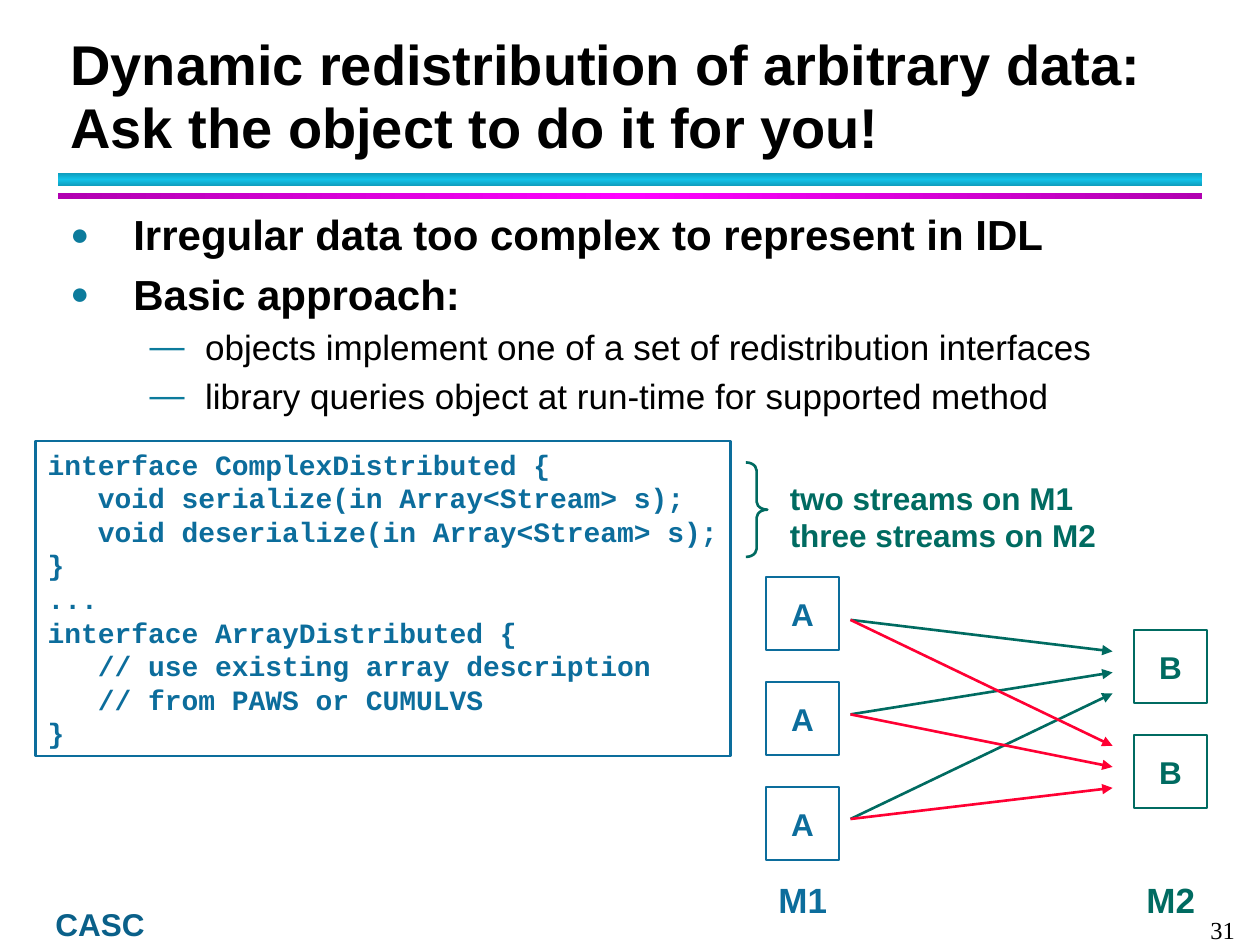
from copy import deepcopy

from lxml import etree
from pptx import Presentation
from pptx.dml.color import RGBColor
from pptx.enum.shapes import MSO_CONNECTOR, MSO_SHAPE
from pptx.enum.text import MSO_ANCHOR, PP_ALIGN
from pptx.oxml.ns import qn
from pptx.util import Inches, Pt

LEFT, CENTER, RIGHT = PP_ALIGN.LEFT, PP_ALIGN.CENTER, PP_ALIGN.RIGHT
TOP, MIDDLE, BOTTOM = MSO_ANCHOR.TOP, MSO_ANCHOR.MIDDLE, MSO_ANCHOR.BOTTOM
RECTANGLE, RIGHT_BRACE = MSO_SHAPE.RECTANGLE, MSO_SHAPE.RIGHT_BRACE
STRAIGHT = MSO_CONNECTOR.STRAIGHT

BLACK, BLUE, GREEN, RED = "000000", "0C6D9C", "006B61", "FF0033"
BULLET_COLOR = "0C7B9C"

prs = Presentation()
prs.slide_width, prs.slide_height = Inches(10), Inches(7.5)
slide = prs.slides.add_slide(prs.slide_layouts[6])
shapes = slide.shapes


def rgb(value):
    return RGBColor.from_string(value)


def add_text(text, left, top, width, height, size=18, color=BLACK, font="Arial",
             bold=True, align=LEFT, anchor=TOP, spacing=None, wrap=True,
             outline=None, margins=(0.1, 0.05)):
    """Add a text box, or an outlined rectangle, with one paragraph per line."""
    place = [Inches(v) for v in (left, top, width, height)]
    if outline:
        box = shapes.add_shape(RECTANGLE, *place)
        box.shadow.inherit = False
        box.fill.background()
        box.line.color.rgb = rgb(outline)
        box.line.width = Pt(1.5)
    else:
        box = shapes.add_textbox(*place)
    frame = box.text_frame
    frame.word_wrap = wrap
    frame.vertical_anchor = anchor
    frame.margin_left = frame.margin_right = Inches(margins[0])
    frame.margin_top = frame.margin_bottom = Inches(margins[1])
    frame.text = text
    for paragraph in frame.paragraphs:
        paragraph.alignment = align
        if spacing:
            paragraph.line_spacing = Pt(spacing)
        for run in paragraph.runs:
            run.font.size = Pt(size)
            run.font.name = font
            run.font.bold = bold
            run.font.color.rgb = rgb(color)
    return box


# Footer label and the two gradient rules under the title
add_text("CASC", 0.44, 7.2, 0.77, 0.28, color="0A6089", anchor=BOTTOM,
         spacing=20, margins=(0, 0))

for top, height, angle, edge, middle in (
    (1.37, 0.11, 90, "0E9AB9", "12C2E9"),
    (1.53, 0.05, 0, "B100B1", "FF00FF"),
):
    rule = shapes.add_shape(RECTANGLE, Inches(0.46), Inches(top),
                            Inches(9.08), Inches(height))
    rule.shadow.inherit = False
    rule.line.fill.background()
    rule.fill.gradient()
    rule.fill.gradient_angle = angle
    stop_list = rule._element.spPr.find(qn("a:gradFill")).find(qn("a:gsLst"))
    stop_list.insert(1, deepcopy(stop_list[0]))
    for stop, position, color in zip(rule.fill.gradient_stops, (0, 0.5, 1),
                                     (edge, middle, edge)):
        stop.position = position
        stop.color.rgb = rgb(color)

# Title
add_text("Dynamic redistribution of arbitrary data:\nAsk the object to do it for you!",
         0.46, 0.33, 9.06, 0.99, size=32, anchor=BOTTOM, spacing=36)

# Bullet list: two main points, then two sub-points
points = add_text(
    "Irregular data too complex to represent in IDL\n"
    "Basic approach:\n"
    "objects implement one of a set of redistribution interfaces\n"
    "library queries object at run-time for supported method",
    0.46, 1.62, 9.29, 5.54, size=24, spacing=28)
for number, point in enumerate(points.text_frame.paragraphs):
    is_sub = number >= 2
    indent, hanging, mark, percent = (
        (1.07, 0.44, "—", 100) if is_sub else (0.5, 0.5, "●", 75))
    properties = point._p.get_or_add_pPr()
    properties.set("marL", str(Inches(indent)))
    properties.set("indent", str(-Inches(hanging)))
    bullet_color = etree.SubElement(properties, qn("a:buClr"))
    etree.SubElement(bullet_color, qn("a:srgbClr"), val=BULLET_COLOR)
    etree.SubElement(properties, qn("a:buSzPct"), val=str(percent * 1000))
    etree.SubElement(properties, qn("a:buFont"), typeface="Arial")
    etree.SubElement(properties, qn("a:buChar"), char=mark)
    if is_sub:
        point.level = 1
        point.runs[0].font.size = Pt(20)
        point.runs[0].font.bold = False
    elif number:
        point.space_before = Pt(6)

# Interface code
code = """interface ComplexDistributed {
   void serialize(in Array<Stream> s);
   void deserialize(in Array<Stream> s);
}
...
interface ArrayDistributed {
   // use existing array description
   // from PAWS or CUMULVS
}"""
add_text(code, 0.28, 3.5, 5.52, 2.5, size=16, color=BLUE, font="Courier New",
         wrap=False, outline=BLUE)

# Brace and its remark
brace = shapes.add_shape(RIGHT_BRACE, Inches(5.92), Inches(3.67),
                         Inches(0.17), Inches(0.75))
brace.shadow.inherit = False
brace.fill.background()
brace.line.color.rgb = rgb(GREEN)
brace.line.width = Pt(1.5)
brace.adjustments[0] = 0.37
add_text("two streams on M1\nthree streams on M2", 6.17, 3.75, 2.63, 0.7,
         color=GREEN, wrap=False)

# Machines: a column of objects with the machine name below
for machine, letter, count, left, first_top, color in (
    ("M1", "A", 3, 6.08, 4.58, BLUE),
    ("M2", "B", 2, 9, 5, GREEN),
):
    for row in range(count):
        add_text(letter, left, first_top + row * 5 / 6, 0.58, 0.58, color=color,
                 align=CENTER, anchor=MIDDLE, outline=color)
    add_text(machine, left, 6.92, 0.65, 0.44, size=20, color=color)

# Streams: every A sends one to each B
for target, color in enumerate((GREEN, RED)):
    for source, start_y in enumerate((4.92, 5.67, 6.5)):
        end_y = 5.17 + target * 0.75 + source / 6
        stream = shapes.add_connector(STRAIGHT, Inches(6.75), Inches(start_y),
                                      Inches(8.83), Inches(end_y))
        stream.line.color.rgb = rgb(color)
        stream.line.width = Pt(1.5)
        etree.SubElement(stream.line._get_or_add_ln(), qn("a:tailEnd"), type="triangle")
        etree.SubElement(stream._element.spPr, qn("a:effectLst"))

# Slide number
add_text("31", 9.32, 7.25, 0.58, 0.25, size=14, font="Times New Roman",
         bold=False, align=RIGHT, anchor=MIDDLE)

prs.save("out.pptx")
